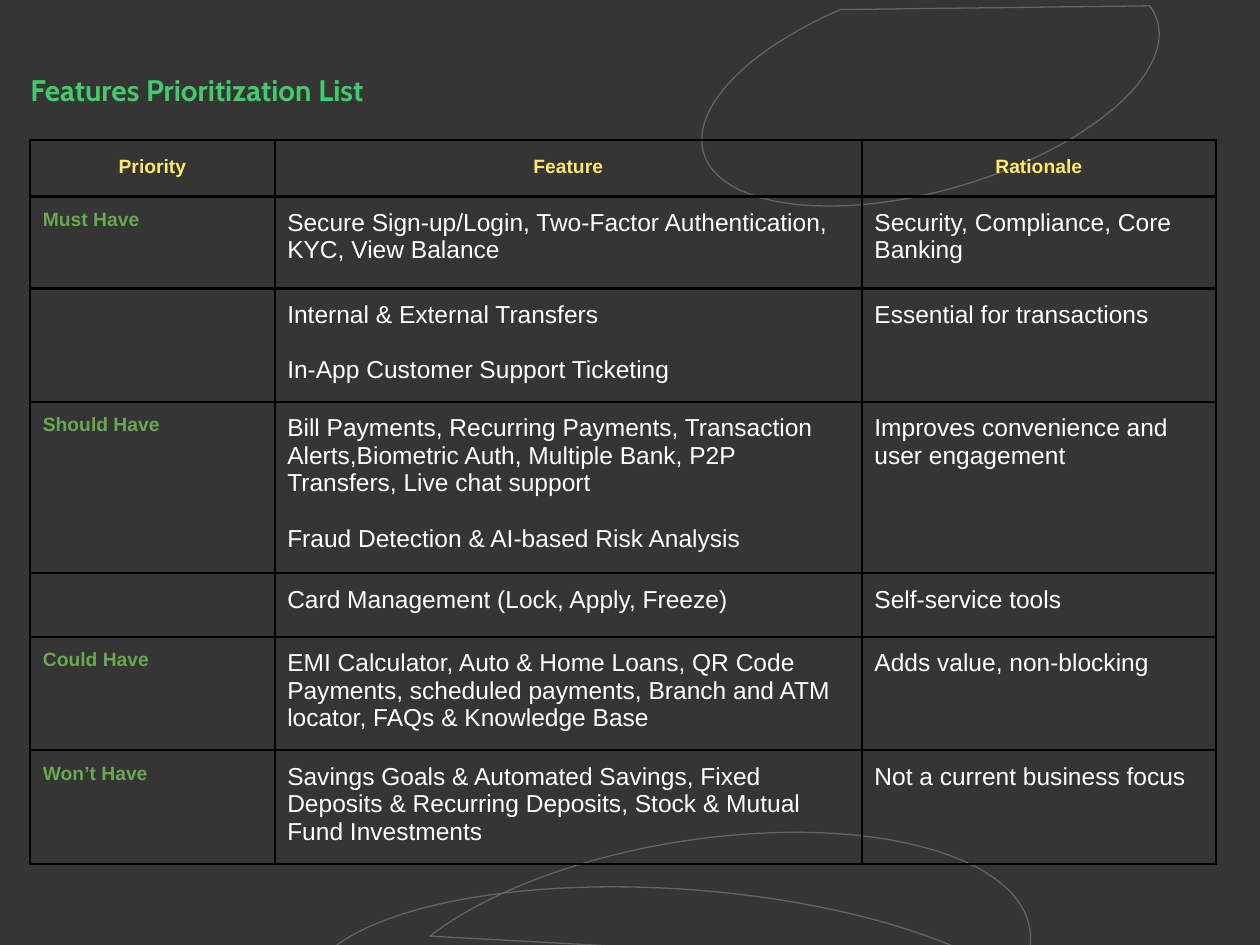
from pptx import Presentation
from pptx.dml.color import RGBColor
from pptx.enum.shapes import MSO_SHAPE
from pptx.enum.text import MSO_ANCHOR, PP_ALIGN
from pptx.oxml.ns import qn
from pptx.util import Inches, Pt
from lxml.etree import SubElement

# left, top, width, height, rotation, angles, flipped
CHORDS = [
    (5.51, -0.13, 3.75, 1.64, 343.8, (213.54, 142.11), False),
    (4.46, 5.15, 2.23, 5.26, 261.1, (49.94, 151.14), True),
    (4.38, 5.09, 2.09, 6.03, 94.3, (55.92, 150.24), False),
]
HEADS = ["Priority", "Feature", "Rationale"]
# height, priority, feature paragraphs, rationale
ROWS = [
    (0.73, "Must Have",
     ["Secure Sign-up/Login, Two-Factor Authentication, KYC, View Balance"],
     "Security, Compliance, Core Banking"),
    (0.9, "",
     ["Internal & External Transfers", "In-App Customer Support Ticketing"],
     "Essential for transactions"),
    (1.36, "Should Have",
     ["Bill Payments, Recurring Payments, Transaction Alerts,Biometric Auth, "
      "Multiple Bank, P2P Transfers, Live chat support",
      "Fraud Detection & AI-based Risk Analysis"],
     "Improves convenience and user engagement"),
    (0.5, "", ["Card Management (Lock, Apply, Freeze)"], "Self-service tools"),
    (0.9, "Could Have",
     ["EMI Calculator, Auto & Home Loans, QR Code Payments, scheduled payments, "
      "Branch and ATM locator, FAQs & Knowledge Base"],
     "Adds value, non-blocking"),
    (0.9, "Won’t Have",
     ["Savings Goals & Automated Savings, Fixed Deposits & Recurring Deposits, "
      "Stock & Mutual Fund Investments"],
     "Not a current business focus"),
]
WIDTHS = [1.94, 4.66, 2.81]
HEAD_HEIGHT = 0.45


def color(code):
    return RGBColor.from_string(code)


def write(frame, *texts, size=14, fill="FFFFFF", bold=False, font="Arial",
          align=PP_ALIGN.LEFT, line=1.0, gap=16):
    """Write one paragraph per text, with a gap in points between them."""
    for i, text in enumerate(texts):
        para = frame.add_paragraph() if i else frame.paragraphs[0]
        para.alignment, para.line_spacing = align, line
        para.space_before = Pt(gap if i else 0)
        run = para.add_run()
        run.text = text
        run.font.name, run.font.size, run.font.bold = font, Pt(size), bold
        run.font.color.rgb = color(fill)


def add_chord(slide, left, top, width, height, turn, angles, flip):
    chord = slide.shapes.add_shape(MSO_SHAPE.CHORD, Inches(left), Inches(top),
                                   Inches(width), Inches(height))
    chord.rotation = turn
    for i, angle in enumerate(angles):
        chord.adjustments[i] = angle
    if flip:
        chord._element.spPr.find(qn("a:xfrm")).set("flipH", "1")
    chord.shadow.inherit = False
    chord.fill.background()
    chord.line.color.rgb = color("69615E")
    chord.line.width = Pt(0.75)


def add_title(slide, text):
    title = slide.shapes.title
    title.left, title.top = Inches(0.04), Inches(0.47)
    title.width, title.height = Inches(3.41), Inches(0.49)
    frame = title.text_frame
    frame.margin_left = Inches(0.2)
    frame.margin_right = frame.margin_top = frame.margin_bottom = Inches(0.1)
    frame.vertical_anchor = MSO_ANCHOR.MIDDLE
    write(frame, text, size=17, fill="41CC6B", bold=True, font="Cabin")


def style_cell(cell):
    """Set margins, black borders and no fill."""
    cell.margin_left = cell.margin_right = Inches(0.1)
    cell.margin_top = cell.margin_bottom = Inches(0.1)
    props = cell._tc.get_or_add_tcPr()
    for side in ("a:lnL", "a:lnR", "a:lnT", "a:lnB"):
        edge = SubElement(props, qn(side), w=str(Pt(1.5)))
        fill = SubElement(edge, qn("a:solidFill"))
        SubElement(fill, qn("a:srgbClr"), val="000000")
    cell.fill.background()


def add_grid(slide):
    heights = [HEAD_HEIGHT] + [row[0] for row in ROWS]
    table = slide.shapes.add_table(
        len(heights), len(WIDTHS), Inches(0.24), Inches(1.11),
        Inches(sum(WIDTHS)), Inches(sum(heights))).table
    table.first_row = table.horz_banding = False
    for col, width in zip(table.columns, WIDTHS):
        col.width = Inches(width)
    for row, height in zip(table.rows, heights):
        row.height = Inches(height)
    for cell in table.iter_cells():
        style_cell(cell)
    for c, head in enumerate(HEADS):
        write(table.cell(0, c).text_frame, head, size=11, fill="FFEB67",
              bold=True, align=PP_ALIGN.CENTER, line=1.15)
    for r, (_, level, items, reason) in enumerate(ROWS, 1):
        if level:
            write(table.cell(r, 0).text_frame, level, size=11,
                  fill="6AA84F", bold=True)
        write(table.cell(r, 1).text_frame, *items)
        write(table.cell(r, 2).text_frame, reason)


def main():
    deck = Presentation()
    deck.slide_width, deck.slide_height = Inches(10), Inches(7.5)
    slide = deck.slides.add_slide(deck.slide_layouts[5])
    slide.background.fill.solid()
    slide.background.fill.fore_color.rgb = color("353535")
    for chord in CHORDS:
        add_chord(slide, *chord)
    add_title(slide, "Features Prioritization List")
    add_grid(slide)
    deck.save("out.pptx")


if __name__ == "__main__":
    main()
